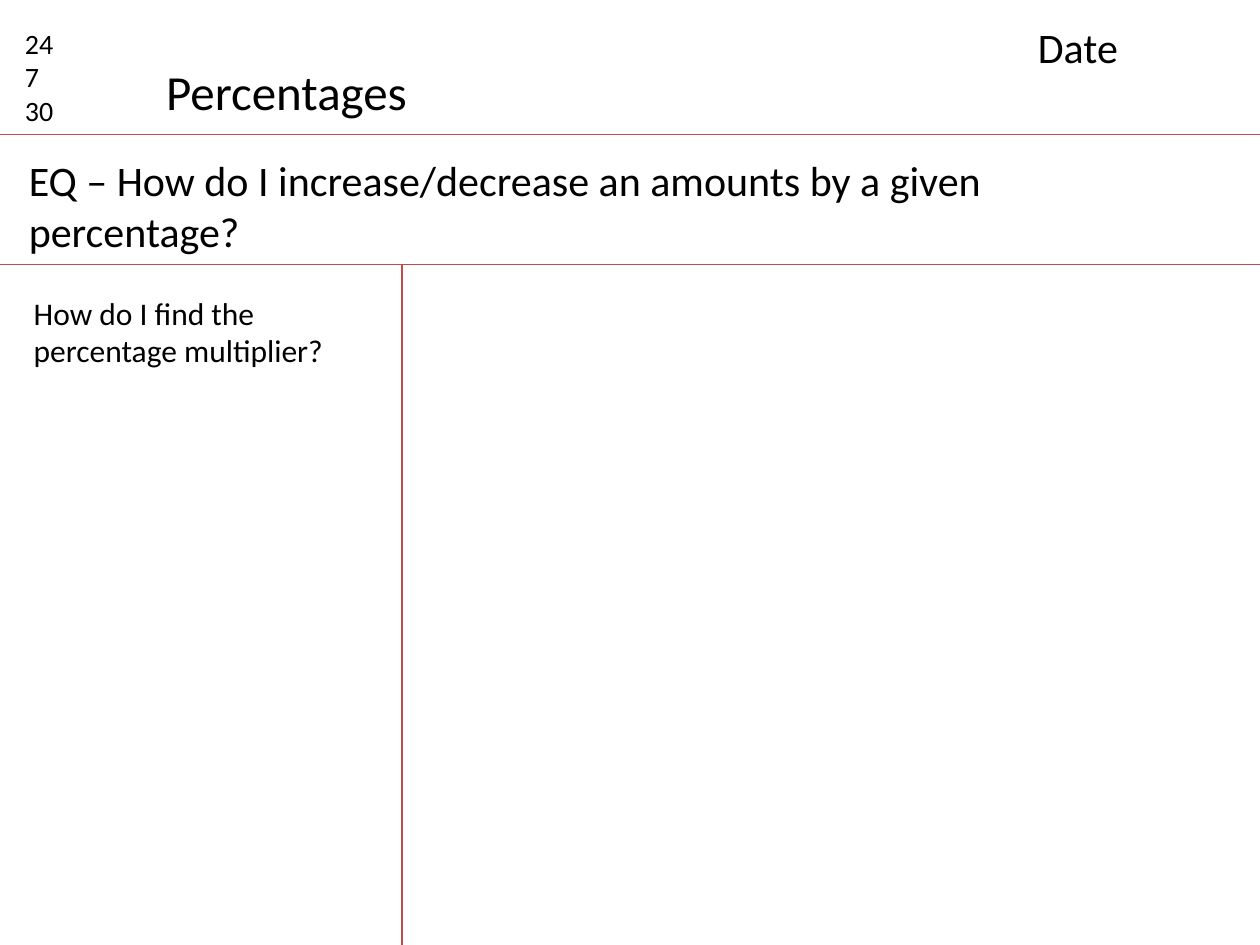
from dataclasses import dataclass

from lxml import etree
from pptx import Presentation
from pptx.dml.color import RGBColor
from pptx.enum import shapes, text
from pptx.oxml.ns import qn
from pptx.util import Pt

COLORS = {"text": "000000", "rule": "BF4C48", "page": "FFFFFF"}
FONT = "Calibri"
PAGE_WIDTH, PAGE_HEIGHT = 720, 540
HEADER_BOTTOM, QUESTION_BOTTOM = 77, 151.2
MARGIN_COLUMN = 229.7


@dataclass
class Note:
    words: str
    left: float
    top: float
    width: float
    height: float
    size: float


@dataclass
class Rule:
    x1: float
    y1: float
    x2: float
    y2: float


TITLE = Note("Percentages", 87.8, 31.7, 153.4, 41, 28)
NOTES = [
    Note("24\n7\n30", 7.2, 11.5, 45.4, 65.5, 16),
    Note("Date", 586, 8.6, 124.6, 36, 24),
    Note("EQ – How do I increase/decrease an amounts by a given percentage?",
         9.4, 85, 679, 65.5, 24),
    Note("How do I find the percentage multiplier?", 12.2, 164.2, 211.7, 51, 18),
]
RULES = [
    Rule(0, HEADER_BOTTOM, PAGE_WIDTH, HEADER_BOTTOM),
    Rule(0, QUESTION_BOTTOM, PAGE_WIDTH, QUESTION_BOTTOM),
    Rule(MARGIN_COLUMN, QUESTION_BOTTOM, MARGIN_COLUMN, PAGE_HEIGHT),
]


def write_text(box, words: str, *, size: float, wrap: bool = True,
               color: str = "text") -> None:
    frame = box.text_frame
    frame.text = words
    frame.word_wrap = wrap
    frame.auto_size = text.MSO_AUTO_SIZE.SHAPE_TO_FIT_TEXT
    frame.vertical_anchor = text.MSO_ANCHOR.TOP
    for para in frame.paragraphs:
        para.alignment = text.PP_ALIGN.LEFT
        para.font.name = FONT
        para.font.size = Pt(size)
        para.font.color.rgb = RGBColor.from_string(COLORS[color])


def draw_title(page, note: Note) -> None:
    box = page.shapes.title
    box.left, box.top = Pt(note.left), Pt(note.top)
    box.width, box.height = Pt(note.width), Pt(note.height)
    write_text(box, note.words, size=note.size, wrap=False)


def draw_note(page, note: Note) -> None:
    box = page.shapes.add_textbox(Pt(note.left), Pt(note.top),
                                  Pt(note.width), Pt(note.height))
    write_text(box, note.words, size=note.size)


def draw_rule(page, rule: Rule) -> None:
    line = page.shapes.add_connector(
        shapes.MSO_CONNECTOR.STRAIGHT,
        Pt(rule.x1), Pt(rule.y1), Pt(rule.x2), Pt(rule.y2))
    line.line.color.rgb = RGBColor.from_string(COLORS["rule"])
    line.line.width = Pt(0.75)
    etree.SubElement(line._element.spPr, qn("a:effectLst"))


def main() -> None:
    deck = Presentation()
    deck.slide_width, deck.slide_height = Pt(PAGE_WIDTH), Pt(PAGE_HEIGHT)
    title_only = deck.slide_layouts[5]
    page = deck.slides.add_slide(title_only)
    page.background.fill.solid()
    page.background.fill.fore_color.rgb = RGBColor.from_string(COLORS["page"])
    for rule in RULES:
        draw_rule(page, rule)
    draw_title(page, TITLE)
    for note in NOTES:
        draw_note(page, note)
    deck.save("out.pptx")


if __name__ == "__main__":
    main()
